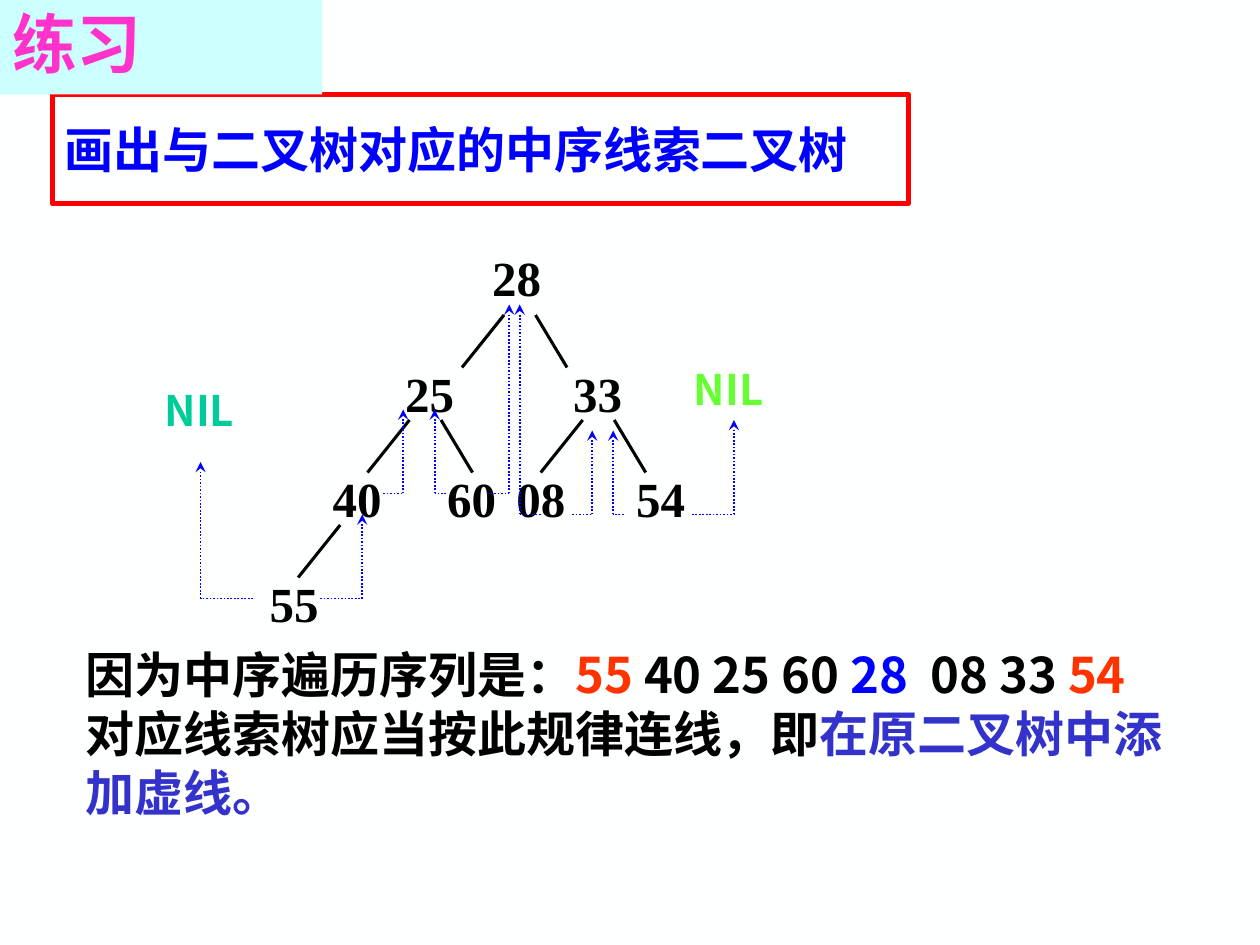
"""Builds an exercise slide on the inorder threaded binary tree."""
from lxml import etree
from pptx import Presentation
from pptx import util as u
from pptx.dml.color import RGBColor
from pptx.enum import dml, shapes, text
from pptx.oxml.ns import qn

WIDTH, HEIGHT = u.Inches(10), u.Inches(7.5)
COLUMNS, ROWS = 120, 90
CJK, SERIF = "Noto Sans CJK SC", "Times New Roman"
COLORS = {
    "page": "FEFFFF", "black": "000000", "blue": "0000FF", "red": "FF0000",
    "orange": "FF3300", "indigo": "3333CC", "teal": "00CC99", "green": "66FF33",
    "pink": "FF33CC", "cyan": "CCFFFF",
}
NODES = [
    ("28", 45.7, 23, 7.1), ("25", 37.4, 34, 7.1), ("33", 53.4, 34, 7.1),
    ("40", 30.5, 44, 7.1), ("60", 41.4, 44, 7.8), ("08", 48, 44, 7.1),
    ("54", 59.4, 44, 10), ("55", 24.5, 54, 7.1),
]
BRANCHES = [(48, 30, True), (39, 40, True), (55.5, 40, True), (32.4, 50, False)]
THREADS = [
    (24.1, 19.1, 57, 44), (30.5, 34.5, 57, 49), (36.5, 38.4, 47, 39),
    (46.4, 48.5, 47, 29), (42.5, 41.4, 47, 39), (59.4, 58.4, 49, 41),
    (51.5, 49.5, 49, 29), (54.5, 56.4, 49, 41), (65.9, 69.9, 49, 40),
]
NILS = [(14.5, 36, "teal"), (64.9, 34, "green")]
ANSWER = [
    [("因为中序遍历序列是：", "black"), ("55", "orange"), (" 40 25 60 ", "black"),
     ("28", "blue"), ("  08 33 ", "black"), ("54", "orange")],
    [("对应线索树应当按此规律连线，即", "black"), ("在原二叉树中添加虚线。", "indigo")],
]


def color(name):
    """Return the named colour."""
    return RGBColor.from_string(COLORS[name])


def across(column):
    """Return the distance of a grid column from the left edge."""
    return round(WIDTH * column / COLUMNS)


def down(row):
    """Return the distance of a grid row from the top edge."""
    return round(HEIGHT * row / ROWS)


def area(left, top, width, height):
    """Return a box of grid cells as lengths."""
    return across(left), down(top), across(width), down(height)


def write(box, paragraphs, size, face, wrap=True, spacing=None):
    """Fill a box with paragraphs made of coloured spans."""
    frame = box.text_frame
    frame.word_wrap = wrap
    for index, spans in enumerate(paragraphs):
        para = frame.paragraphs[0] if index == 0 else frame.add_paragraph()
        para.alignment = text.PP_ALIGN.LEFT
        para.line_spacing = spacing
        for words, shade in spans:
            span = para.add_run()
            span.text = words
            for key, value in {"size": u.Pt(size), "bold": True, "name": face}.items():
                setattr(span.font, key, value)
            span.font.color.rgb = color(shade)
            east = etree.SubElement(span.font._element, qn("a:ea"))
            east.set("typeface", face)


def add_label(page, place, paragraphs, size, face, wrap=False):
    """Add a plain text box."""
    box = page.shapes.add_textbox(*area(*place))
    write(box, paragraphs, size, face, wrap)


def add_panel(page, place, words, shade, size, fill=None, border=None, spacing=None):
    """Add a rectangle holding one left-aligned line of text."""
    box = page.shapes.add_shape(shapes.MSO_SHAPE.RECTANGLE, *area(*place))
    box.shadow.inherit = False
    if fill:
        box.fill.solid()
        box.fill.fore_color.rgb = color(fill)
    else:
        box.fill.background()
    if border:
        box.line.color.rgb = color(border)
        box.line.width = u.Pt(3)
    else:
        box.line.fill.background()
    box.text_frame.vertical_anchor = text.MSO_ANCHOR.MIDDLE
    write(box, [[(words, shade)]], size, CJK, spacing=spacing)


def add_line(page, start, end, shade, width, dotted=False, arrow=False):
    """Add a straight line between two grid points."""
    line = page.shapes.add_connector(
        shapes.MSO_CONNECTOR.STRAIGHT,
        across(start[0]), down(start[1]), across(end[0]), down(end[1]))
    line.line.color.rgb = color(shade)
    line.line.width = u.Pt(width)
    if dotted:
        line.line.dash_style = dml.MSO_LINE.ROUND_DOT
    if arrow:
        etree.SubElement(line.line._get_or_add_ln(), qn("a:tailEnd"), type="stealth")
    etree.SubElement(line._element.spPr, qn("a:effectLst"))


def add_branches(page, column, row, both):
    """Add the solid lines from a node to its children."""
    add_line(page, (column, row), (column - 4, row + 5), "black", 1.75)
    if both:
        add_line(page, (column + 3, row), (column + 6, row + 5), "black", 1.75)


def add_thread(page, start, bend, row, tip):
    """Add a dotted thread that runs sideways and then up to its arrowhead."""
    add_line(page, (start, row), (bend, row), "blue", 1, dotted=True)
    add_line(page, (bend, row), (bend, tip), "blue", 1, dotted=True, arrow=True)


def main():
    """Build and save the slide."""
    deck = Presentation()
    deck.slide_width, deck.slide_height = WIDTH, HEIGHT
    page = deck.slides.add_slide(deck.slide_layouts[6])
    page.background.fill.solid()
    page.background.fill.fore_color.rgb = color("page")

    add_panel(page, (5, 9, 81.5, 10.4), "画出与二叉树对应的中序线索二叉树",
              "blue", 28, border="red")
    for value, left, top, width in NODES:
        add_label(page, (left, top, width, 6.9), [[(value, "black")]], 28, SERIF,
                  wrap=width > 7.1)
    for branch in BRANCHES:
        add_branches(page, *branch)
    add_label(page, (7, 60.8, 107, 18), ANSWER, 28, CJK, wrap=True)
    for thread in THREADS:
        add_thread(page, *thread)
    for left, top, shade in NILS:
        add_label(page, (left, top, 9.5, 6), [[("NIL", shade)]], 24, CJK)
    add_panel(page, (0, 0, 30.7, 9), "练习", "pink", 37, fill="cyan", spacing=0.9)
    deck.save("out.pptx")


if __name__ == "__main__":
    main()
